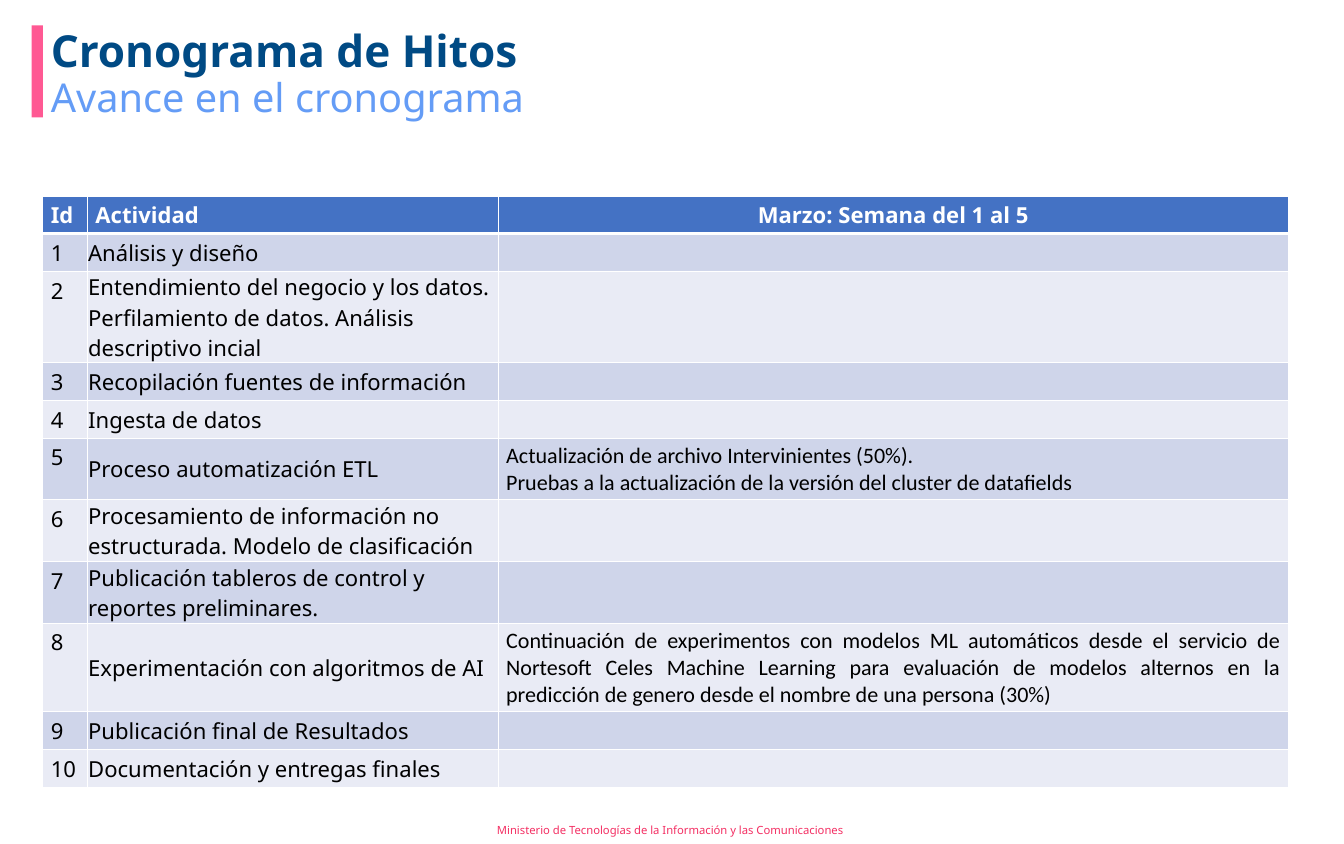
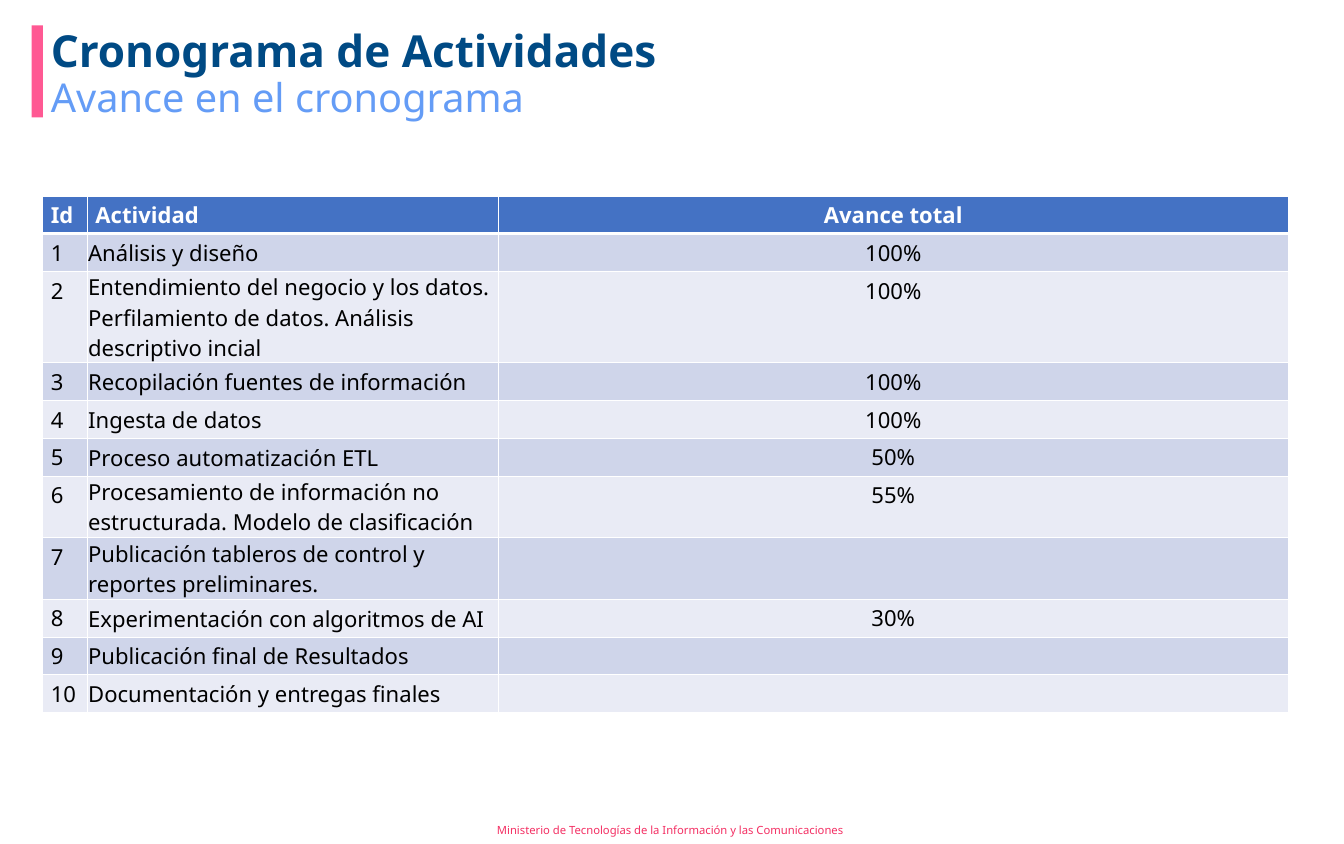
from lxml import etree
from pptx import Presentation
from pptx.dml.color import RGBColor
from pptx.enum import shapes, text
from pptx.oxml import ns
from pptx.util import Cm, Pt

PINK = RGBColor(0xFF, 0x59, 0x93)
ROSE = RGBColor(0xF4, 0x2F, 0x63)
NAVY = RGBColor(0x00, 0x4A, 0x84)
SKY = RGBColor(0x64, 0x9C, 0xF6)
BLUE = RGBColor(0x44, 0x72, 0xC4)
DARK = RGBColor(0xCF, 0xD5, 0xEA)
PALE = RGBColor(0xE9, 0xEB, 0xF5)
WHITE = RGBColor(0xFF, 0xFF, 0xFF)
BLACK = RGBColor(0x00, 0x00, 0x00)

FONT = "Noto Sans"
LEFT = text.PP_ALIGN.LEFT
MID = text.PP_ALIGN.CENTER
FULL = text.PP_ALIGN.JUSTIFY

COLS = (1.43, 13.14, 25.28)
ROW = 1.21
TALL = {2: 2.91, 6: 1.97, 7: 1.97}
TASKS = (
    "Análisis y diseño",
    "Entendimiento del negocio y los datos. Perfilamiento de datos. Análisis descriptivo incial",
    "Recopilación fuentes de información",
    "Ingesta de datos",
    "Proceso automatización ETL",
    "Procesamiento de información no estructurada. Modelo de clasificación",
    "Publicación tableros de control y reportes preliminares.",
    "Experimentación con algoritmos de AI",
    "Publicación final de Resultados",
    "Documentación y entregas finales",
)
NOTES = {
    5: ("Actualización de archivo Intervinientes (50%).\n"
        "Pruebas a la actualización de la versión del cluster de datafields", LEFT, 1.97),
    8: ("Continuación de experimentos con modelos ML automáticos desde el servicio de "
        "Nortesoft Celes Machine Learning para evaluación de modelos alternos en la "
        "predicción de genero desde el nombre de una persona (30%)", FULL, 2.84),
}
RATES = {1: "100%", 2: "100%", 3: "100%", 4: "100%", 5: "50%", 6: "55%", 8: "30%"}


def write(box, words, size=20, color=BLACK, bold=False, font=FONT, align=LEFT, space=None):
    para = box.text_frame.paragraphs[0]
    para.text = words
    para.alignment = align
    if space:
        para.line_spacing = space
        para.space_before = Pt(0)
    for run in para.runs:
        run.font.name = font
        run.font.size = Pt(size)
        run.font.bold = bold
        run.font.color.rgb = color
    return para


def place(box, left, top, width, height):
    box.left, box.top, box.width, box.height = (Cm(n) for n in (left, top, width, height))


def head(slide, name, left, top):
    bar = slide.shapes.add_shape(shapes.MSO_SHAPE.RECTANGLE, Cm(left), Cm(top), Cm(0.36), Cm(2.95))
    bar.shadow.inherit = False
    bar.fill.solid()
    bar.fill.fore_color.rgb = PINK
    bar.line.fill.background()
    title = slide.shapes.title
    body = slide.placeholders[1]
    place(title, left + 0.36, top, 40.6, 1.4)
    place(body, left + 0.36, top + 1.56, 33.22, 1.9)
    for box in (title, body):
        frame = box.text_frame
        frame.auto_size = text.MSO_AUTO_SIZE.NONE
        frame.word_wrap = True
        frame.vertical_anchor = text.MSO_ANCHOR.TOP
    write(title, name, size=40, color=NAVY, bold=True, space=0.9)
    para = write(body, "Avance en el cronograma", size=36, color=SKY, space=0.9)
    props = para._p.get_or_add_pPr()
    props.set("marL", "0")
    props.set("indent", "0")
    etree.SubElement(props, ns.qn("a:buNone"))


def foot(slide, left, top):
    box = slide.shapes.add_textbox(Cm(left), Cm(top), Cm(11.7), Cm(0.89))
    box.text_frame.word_wrap = True
    box.text_frame.vertical_anchor = text.MSO_ANCHOR.MIDDLE
    write(box, "Ministerio de Tecnologías de la Información y las Comunicaciones", size=10.2, color=ROSE)


def paint(cell, color, top=1, base=1):
    props = cell._tc.get_or_add_tcPr()
    for side, width in (("L", 1), ("R", 1), ("T", top), ("B", base)):
        line = etree.SubElement(props, ns.qn("a:ln" + side), w=str(Pt(width)))
        fill = etree.SubElement(line, ns.qn("a:solidFill"))
        etree.SubElement(fill, ns.qn("a:srgbClr"), val=str(WHITE))
    cell.fill.solid()
    cell.fill.fore_color.rgb = color


def grid(slide, last, left, top):
    count = len(TASKS) + 1
    table = slide.shapes.add_table(
        count, len(COLS), Cm(left), Cm(top), Cm(sum(COLS)), Cm(ROW * count)).table
    for col, width in zip(table.columns, COLS):
        col.width = Cm(width)
    for num, row in enumerate(table.rows):
        row.height = Cm(TALL.get(num, ROW))
    for col, (label, align) in enumerate((("Id", LEFT), ("Actividad", LEFT), (last, MID))):
        cell = table.cell(0, col)
        paint(cell, BLUE, base=3)
        write(cell, label, color=WHITE, bold=True, align=align)
    for num, task in enumerate(TASKS, 1):
        for col in range(len(COLS)):
            paint(table.cell(num, col), DARK if num % 2 else PALE, top=3 if num == 1 else 1)
        write(table.cell(num, 0), str(num))
        cell = table.cell(num, 1)
        cell.vertical_anchor = text.MSO_ANCHOR.MIDDLE
        cell.margin_left = cell.margin_right = cell.margin_top = Cm(0.02)
        cell.margin_bottom = 0
        write(cell, task)
    return table


def build(deck, name, last):
    slide = deck.slides.add_slide(deck.slide_layouts[1])
    head(slide, name, 1.01, 0.81)
    foot(slide, 15.65, 26.11)
    return grid(slide, last, 1.37, 6.27)


def main():
    deck = Presentation()
    deck.slide_width, deck.slide_height = Cm(43), Cm(27)
    table = build(deck, "Cronograma de Hitos", "Marzo: Semana del 1 al 5")
    for num, (note, align, height) in NOTES.items():
        table.rows[num].height = Cm(height)
        write(table.cell(num, 2), note, font="Calibri", align=align)
    table = build(deck, "Cronograma de Actividades", "Avance total")
    for num, rate in RATES.items():
        write(table.cell(num, 2), rate, align=MID)
    deck.save("out.pptx")


if __name__ == "__main__":
    main()
